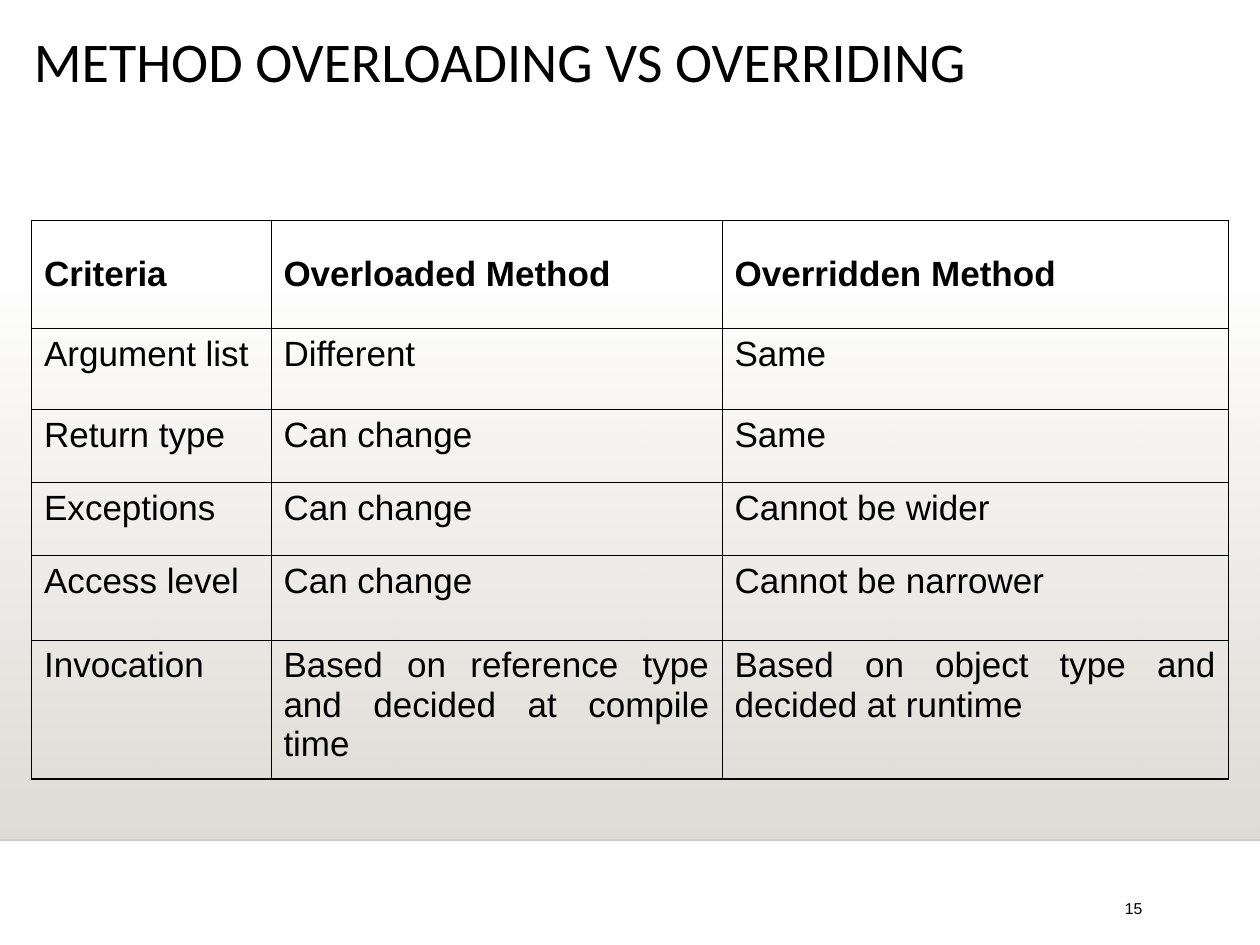
from pptx import Presentation
from pptx.dml.color import RGBColor
from pptx.enum import shapes, text
from pptx.oxml import ns, xmlchemy
from pptx.util import Inches, Pt

BLACK = RGBColor(0x00, 0x00, 0x00)
RULE = RGBColor(0x00, 0x00, 0x01)
STONE = RGBColor(0xDF, 0xDB, 0xD5)
THIN, THICK = 0.45, 1.08

COLUMN_WIDTHS = [1.9, 3.58, 4.02]
ROW_HEIGHTS = [0.86, 0.64, 0.58, 0.58, 0.67, 1.1]
COMPARISON = [
    ["Criteria", "Overloaded Method", "Overridden Method"],
    ["Argument list", "Different", "Same"],
    ["Return type", "Can change", "Same"],
    ["Exceptions", "Can change", "Cannot be wider"],
    ["Access level", "Can change", "Cannot be narrower"],
    ["Invocation", "Based on reference type and decided at compile time",
     "Based on object type and decided at runtime"],
]


def add_child(parent, tag, **attributes):
    child = xmlchemy.OxmlElement(tag)
    for key, value in attributes.items():
        child.set(key, str(value))
    parent.append(child)
    return child


def set_opacity(element, percents):
    """Give the element's RGB colours, in order, these opacities."""
    for colour, percent in zip(element.iter(ns.qn("a:srgbClr")), percents):
        add_child(colour, "a:alpha", val=percent * 1000)


def set_borders(cell, widths):
    """Draw the left, right, top and bottom borders, widths in points."""
    properties = cell._tc.get_or_add_tcPr()
    for index, (side, width) in enumerate(zip("LRTB", widths)):
        border = xmlchemy.OxmlElement(f"a:ln{side}")
        border.set("w", str(Pt(width)))
        fill = add_child(border, "a:solidFill")
        add_child(fill, "a:srgbClr", val=BLACK)
        properties.insert(index, border)


class SlideBuilder:
    def __init__(self, slide, body_font="Arial", title_font="Calibri"):
        self.slide = slide
        self.body_font = body_font
        self.title_font = title_font

    def format_text(self, paragraph, size, font, bold=False):
        for run in paragraph.runs:
            run.font.size = Pt(size)
            run.font.name = font
            run.font.bold = bold
            run.font.color.rgb = BLACK

    def fading_band(self, left, top, width, height):
        band = self.slide.shapes.add_shape(
            shapes.MSO_SHAPE.RECTANGLE,
            Inches(left), Inches(top), Inches(width), Inches(height))
        band.shadow.inherit = False
        band.line.fill.background()
        band.fill.gradient()
        band.fill.gradient_angle = 270
        for stop, position in zip(band.fill.gradient_stops, (0, 1)):
            stop.color.rgb = STONE
            stop.position = position
        set_opacity(band.element, (0, 100))

    def horizontal_rule(self, left, right, y):
        rule = self.slide.shapes.add_connector(
            shapes.MSO_CONNECTOR.STRAIGHT,
            Inches(left), Inches(y), Inches(right), Inches(y))
        rule.line.width = Pt(1)
        rule.line.color.rgb = RULE
        set_opacity(rule.element, (20,))
        add_child(rule.element.spPr, "a:effectLst")

    def label(self, wording, left, top, width, height, size, font,
              line_spacing=1.0):
        box = self.slide.shapes.add_textbox(
            Inches(left), Inches(top), Inches(width), Inches(height))
        frame = box.text_frame
        frame.word_wrap = True
        frame.text = wording
        frame.paragraphs[0].line_spacing = line_spacing
        self.format_text(frame.paragraphs[0], size, font)

    def table(self, rows, left, top, widths, heights):
        grid = self.slide.shapes.add_table(
            len(rows), len(widths), Inches(left), Inches(top),
            Inches(sum(widths)), Inches(sum(heights))).table
        grid.first_row = grid.horz_banding = False
        for column, width in zip(grid.columns, widths):
            column.width = Inches(width)
        for row, height in zip(grid.rows, heights):
            row.height = Inches(height)

        last_row, last_column = len(rows) - 1, len(widths) - 1
        for r, wordings in enumerate(rows):
            for c, wording in enumerate(wordings):
                cell = grid.cell(r, c)
                is_header = r == 0
                cell.fill.background()
                cell.text_frame.text = wording
                cell.vertical_anchor = (text.MSO_ANCHOR.MIDDLE if is_header
                                        else text.MSO_ANCHOR.TOP)
                paragraph = cell.text_frame.paragraphs[0]
                paragraph.space_before = Pt(5)
                if r == last_row and c > 0:
                    paragraph.alignment = text.PP_ALIGN.JUSTIFY
                self.format_text(paragraph, 20, self.body_font, is_header)
                outer_sides = (c == 0, c == last_column, r == 0, r == last_row)
                set_borders(cell, [THICK if outer else THIN
                                   for outer in outer_sides])


def main():
    deck = Presentation()
    deck.slide_width, deck.slide_height = Inches(10), Inches(7.5)
    builder = SlideBuilder(deck.slides.add_slide(deck.slide_layouts[6]))

    builder.fading_band(0, 2.2, 10, 4.46)
    builder.horizontal_rule(0, 10, 6.67)
    builder.label("15", 8.83, 7.08, 1.52, 0.25, 9, builder.body_font)
    builder.label("METHOD OVERLOADING VS OVERRIDING", 0.17, 0.22, 8.92, 1,
                  32, builder.title_font, line_spacing=0.9)
    builder.table(COMPARISON, 0.25, 1.75, COLUMN_WIDTHS, ROW_HEIGHTS)

    deck.save("out.pptx")


if __name__ == "__main__":
    main()
